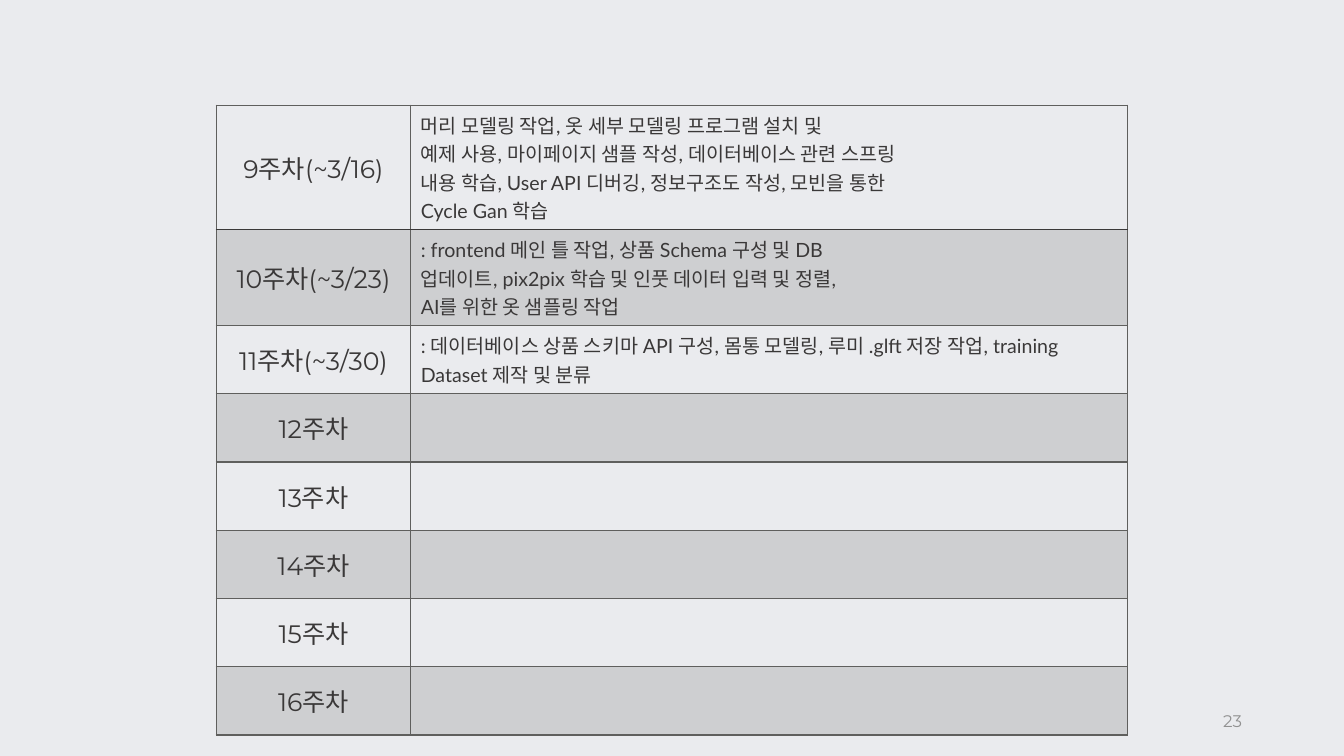
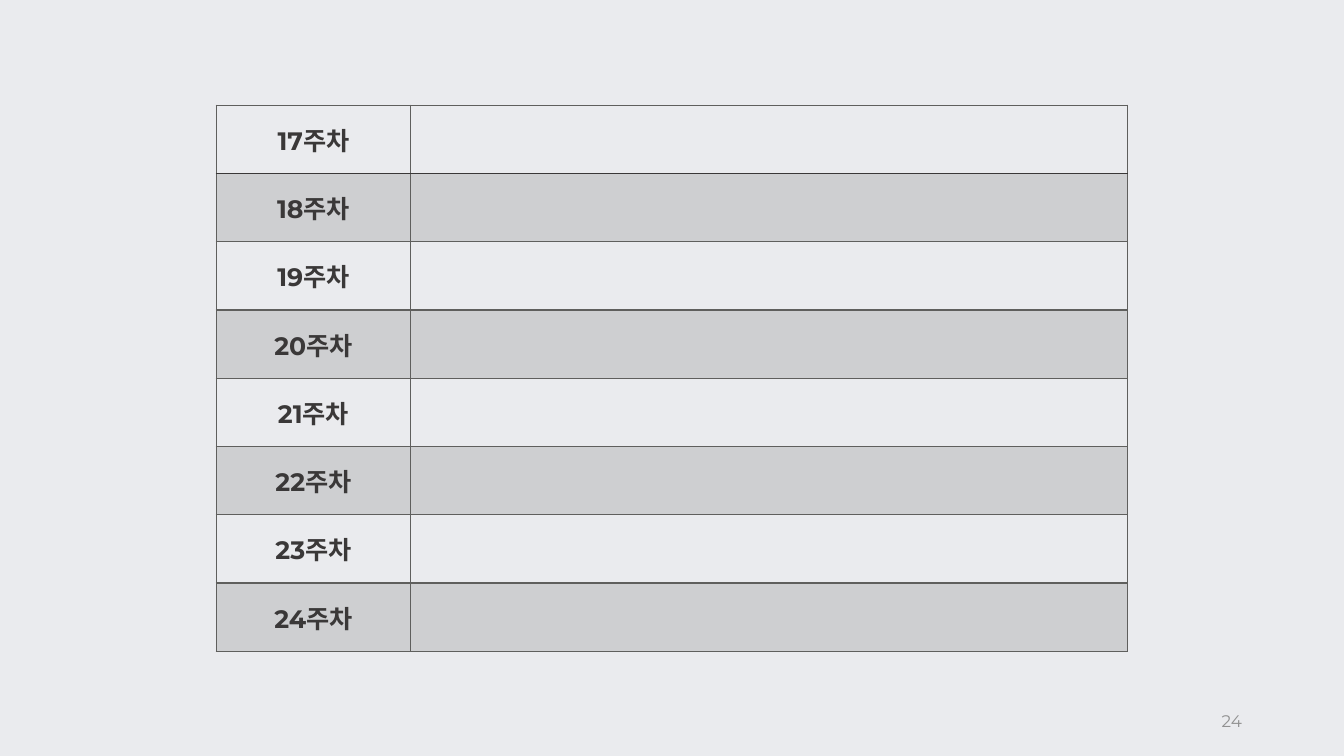
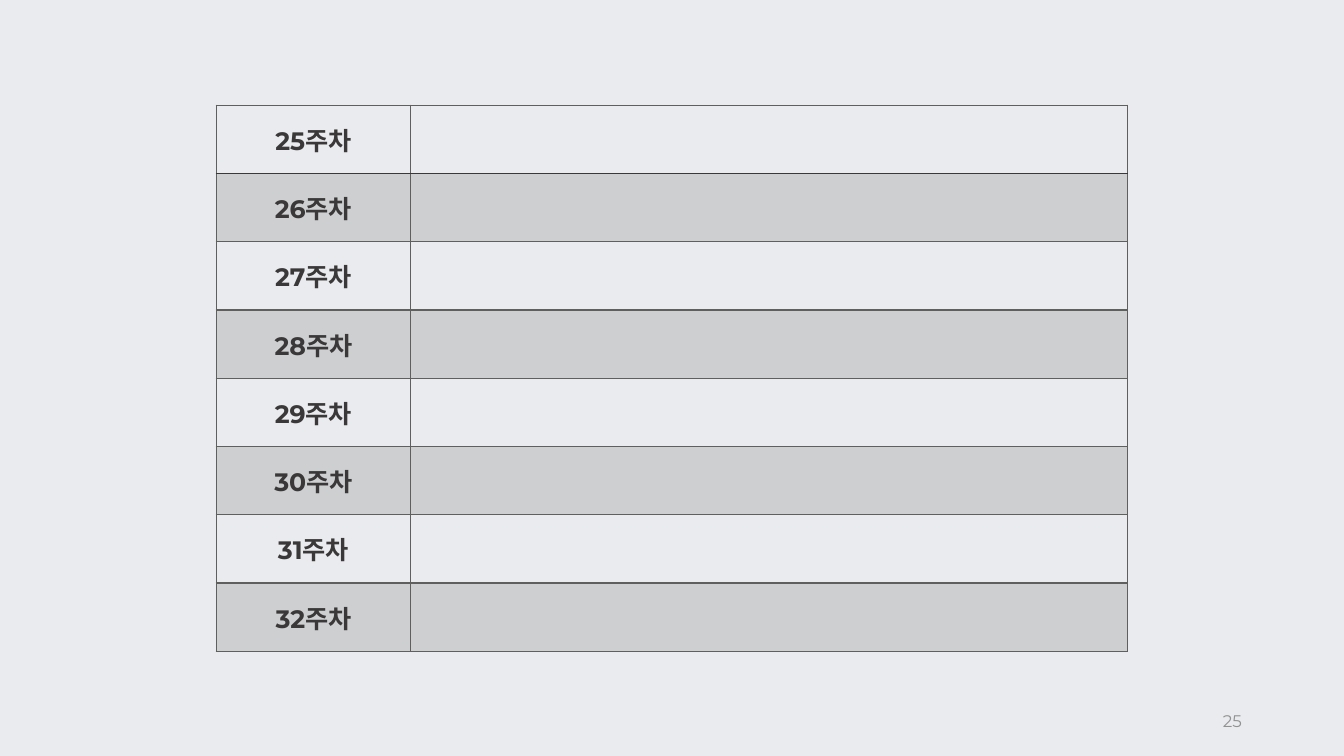
from lxml.etree import SubElement as Sub
from pptx import Presentation
from pptx.dml.color import RGBColor as RGB
from pptx.enum.text import MSO_ANCHOR as ANCHOR, PP_ALIGN as ALIGN
from pptx.oxml.ns import qn
from pptx.util import Cm, Pt

THEME = {
    "page": "EAEBEE",
    "ink": "3A3838",
    "grid": "5F5F5D",
    "muted": "919191",
    "band_alpha": 20,
    "border": Pt(1),
    "week": {"name": "Montserrat", "size": Pt(18), "bold": False},
    "task": {"name": "Lato", "size": Pt(14), "bold": False},
    "number": {"name": "Montserrat", "size": Pt(12), "bold": False},
}

TASKS = {
    9: ["머리 모델링 작업, 옷 세부 모델링 프로그램 설치 및",
        "예제 사용, 마이페이지 샘플 작성, 데이터베이스 관련 스프링",
        "내용 학습, User API 디버깅, 정보구조도 작성, 모빈을 통한",
        "Cycle Gan 학습"],
    10: [": frontend 메인 틀 작업, 상품 Schema 구성 및 DB",
         "업데이트, pix2pix 학습 및 인풋 데이터 입력 및 정렬,",
         "AI를 위한 옷 샘플링 작업"],
    11: [": 데이터베이스 상품 스키마 API 구성, 몸통 모델링, 루미 .glft 저장 작업, "
         "training Dataset 제작 및 분류"],
}
DUE = {9: "(~3/16)", 10: "(~3/23)", 11: "(~3/30)"}

PAGES = [
    {"number": 23, "first_week": 9, "bold": False},
    {"number": 24, "first_week": 17, "bold": True},
    {"number": 25, "first_week": 25, "bold": True},
]
WEEKS = 8
ROW_H = 1.72
COLS = [4.9, 18.06]


def write(tf, lines, fmt, color, align):
    for i, line in enumerate(lines):
        p = tf.add_paragraph() if i else tf.paragraphs[0]
        p.alignment = align
        r = p.add_run()
        r.text = line
        for key, value in fmt.items():
            setattr(r.font, key, value)
        r.font.color.rgb = RGB.from_string(color)


def style_cell(cell, row):
    tcPr = cell._tc.get_or_add_tcPr()
    header_edge = {0: "lnB", 1: "lnT"}.get(row)
    for side in ("lnL", "lnR", "lnT", "lnB"):
        ln = Sub(tcPr, qn(f"a:{side}"), w=str(THEME["border"]))
        color = THEME["ink" if side == header_edge else "grid"]
        Sub(Sub(ln, qn("a:solidFill")), qn("a:srgbClr"), val=color)
    cell.vertical_anchor = ANCHOR.MIDDLE
    if row % 2:
        cell.fill.solid()
        cell.fill.fore_color.rgb = RGB.from_string(THEME["grid"])
        clr = tcPr.find(qn("a:solidFill")).find(qn("a:srgbClr"))
        Sub(clr, qn("a:alpha"), val=str(THEME["band_alpha"] * 1000))
    else:
        cell.fill.background()


prs = Presentation()
prs.slide_width, prs.slide_height = Cm(33.87), Cm(19.05)
bg = prs.slide_master.background.fill
bg.solid()
bg.fore_color.rgb = RGB.from_string(THEME["page"])

for page in PAGES:
    s = prs.slides.add_slide(prs.slide_layouts[6])
    tbl = s.shapes.add_table(WEEKS, len(COLS), Cm(5.45), Cm(2.65),
                             Cm(sum(COLS)), Cm(WEEKS * ROW_H)).table
    tbl.first_row = tbl.horz_banding = False
    for col, width in zip(tbl.columns, COLS):
        col.width = Cm(width)

    week_fmt = {**THEME["week"], "bold": page["bold"]}
    for i, row in enumerate(tbl.rows):
        row.height = Cm(ROW_H)
        week = page["first_week"] + i
        week_cell, task_cell = row.cells
        for cell in row.cells:
            style_cell(cell, i)
        write(week_cell.text_frame, [f"{week}주차{DUE.get(week, '')}"],
              week_fmt, THEME["ink"], ALIGN.CENTER)
        write(task_cell.text_frame, TASKS.get(week, []),
              THEME["task"], THEME["ink"], ALIGN.LEFT)

    tf = s.shapes.add_textbox(Cm(23.93), Cm(17.65), Cm(7.62), Cm(1.02)).text_frame
    for key, value in {"word_wrap": True, "vertical_anchor": ANCHOR.MIDDLE}.items():
        setattr(tf, key, value)
    write(tf, [str(page["number"])], THEME["number"], THEME["muted"], ALIGN.RIGHT)

prs.save("out.pptx")
